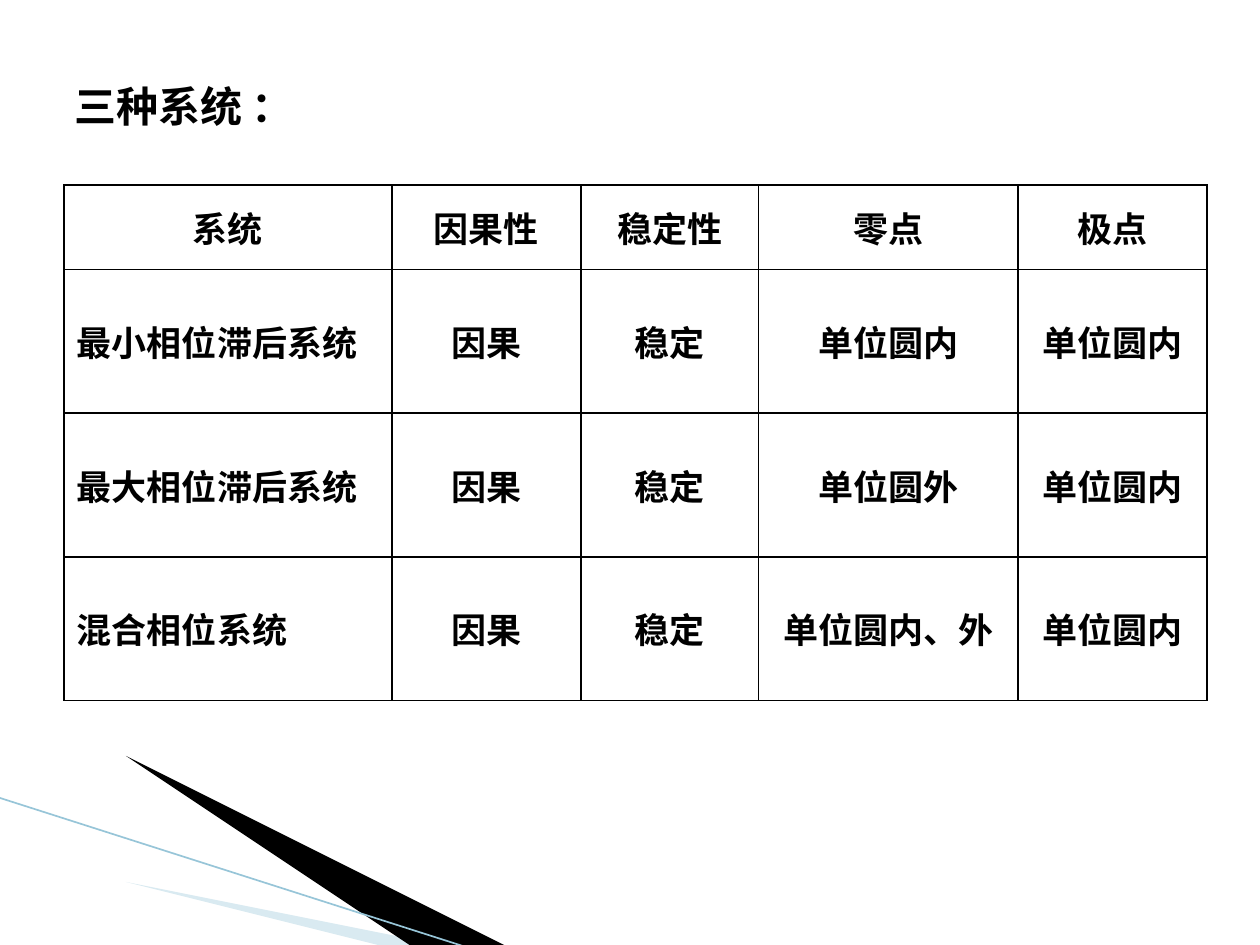
from dataclasses import dataclass

import pptx
import pptx.dml.color
import pptx.enum.shapes
import pptx.enum.text
import pptx.oxml
import pptx.oxml.ns
import pptx.util
from lxml import etree

HEADING = "三种系统 ："
ROWS = [
    ("系统", "因果性", "稳定性", "零点", "极点"),
    ("最小相位滞后系统", "因果", "稳定", "单位圆内", "单位圆内"),
    ("最大相位滞后系统", "因果", "稳定", "单位圆外", "单位圆内"),
    ("混合相位系统", "因果", "稳定", "单位圆内、外", "单位圆内"),
]
COLUMN_WIDTHS = (2.6, 1.5, 1.41, 2.06, 1.5)
HEADER_HEIGHT, BODY_HEIGHT = 0.67, 1.14
TABLE_LEFT, TABLE_TOP = 0.51, 1.47


@dataclass(frozen=True)
class Theme:
    ink: str = "000000"
    pale: str = "A0CBDC"
    edge: str = "97C5D8"
    latin: str = "Times New Roman"
    chinese: str = "Noto Sans CJK SC"
    heading_size: int = 24
    cell_size: int = 20


THEME = Theme()
# Corner points, colour and opacity in percent
WEDGES = [
    ([(0.55, 6.51), (5.95, 7.51), (4.56, 7.51)], THEME.pale, 40),
    ([(0.53, 6.49), (4.57, 7.51), (3.72, 7.52)], THEME.ink, 100),
]

inches = pptx.util.Inches
qn = pptx.oxml.ns.qn


def rgb(value):
    return pptx.dml.color.RGBColor.from_string(value)


def add_run(paragraph, text, size, latin):
    run = paragraph.add_run()
    run.text = text
    run.font.size = pptx.util.Pt(size)
    run.font.bold = True
    run.font.color.rgb = rgb(THEME.ink)
    run.font.name = latin
    east_asian = etree.SubElement(run.font._element, qn("a:ea"))
    east_asian.set("typeface", THEME.chinese)


def add_wedge(slide, points, color, opacity):
    builder = slide.shapes.build_freeform(*points[0], scale=inches(1))
    builder.add_line_segments(points[1:], close=True)
    wedge = builder.convert_to_shape()
    wedge.shadow.inherit = False
    wedge.line.fill.background()
    wedge.fill.solid()
    wedge.fill.fore_color.rgb = rgb(color)
    if opacity < 100:
        fill_color = wedge._element.spPr.find(".//" + qn("a:srgbClr"))
        etree.SubElement(fill_color, qn("a:alpha")).set("val", str(opacity * 1000))


def add_line(slide, start, end, color, width):
    line = slide.shapes.add_connector(
        pptx.enum.shapes.MSO_CONNECTOR.STRAIGHT, *map(inches, start + end))
    line.line.color.rgb = rgb(color)
    line.line.width = pptx.util.Pt(width)
    etree.SubElement(line._element.spPr, qn("a:effectLst"))


def add_borders(cell):
    properties = cell._tc.get_or_add_tcPr()
    for side in "LRTB":
        border = etree.SubElement(properties, qn(f"a:ln{side}"), w=str(pptx.util.Pt(1)))
        fill = etree.SubElement(border, qn("a:solidFill"))
        etree.SubElement(fill, qn("a:srgbClr"), val=THEME.ink)


def add_heading(slide):
    title = slide.shapes.title
    title.left, title.top, title.width, title.height = map(
        inches, (0.49, 0.59, 1.97, 0.5))
    frame = title.text_frame
    frame.word_wrap = False
    frame.auto_size = pptx.enum.text.MSO_AUTO_SIZE.SHAPE_TO_FIT_TEXT
    frame.vertical_anchor = pptx.enum.text.MSO_ANCHOR.TOP
    paragraph = frame.paragraphs[0]
    paragraph.alignment = pptx.enum.text.PP_ALIGN.LEFT
    add_run(paragraph, HEADING, THEME.heading_size, THEME.latin)


def add_systems_table(slide, width, height):
    table = slide.shapes.add_table(
        len(ROWS), len(COLUMN_WIDTHS),
        *map(inches, (TABLE_LEFT, TABLE_TOP, width, height))).table
    table.first_row = table.horz_banding = False
    for column, column_width in zip(table.columns, COLUMN_WIDTHS):
        column.width = inches(column_width)
    align = pptx.enum.text.PP_ALIGN
    for r, texts in enumerate(ROWS):
        table.rows[r].height = inches(BODY_HEIGHT if r else HEADER_HEIGHT)
        for c, text in enumerate(texts):
            cell = table.cell(r, c)
            cell.vertical_anchor = pptx.enum.text.MSO_ANCHOR.MIDDLE
            add_borders(cell)
            cell.fill.background()
            paragraph = cell.text_frame.paragraphs[0]
            paragraph.alignment = align.LEFT if r and c == 0 else align.CENTER
            add_run(paragraph, text, THEME.cell_size, THEME.chinese)


def main():
    deck = pptx.Presentation()
    deck.slide_width, deck.slide_height = inches(10), inches(7.5)
    slide = deck.slides.add_slide(deck.slide_layouts.get_by_name("Title Only"))

    for points, color, opacity in WEDGES:
        add_wedge(slide, points, color, opacity)
    add_line(slide, (-0.01, 6.33), (3.71, 7.52), THEME.edge, 0.95)

    width = sum(COLUMN_WIDTHS)
    height = HEADER_HEIGHT + BODY_HEIGHT * (len(ROWS) - 1)
    right, bottom = TABLE_LEFT + width, TABLE_TOP + height
    add_systems_table(slide, width, height)
    add_heading(slide)
    for x, top in ((TABLE_LEFT, TABLE_TOP + HEADER_HEIGHT), (right, TABLE_TOP)):
        add_line(slide, (x, top), (x, bottom), THEME.ink, 0.75)

    deck.save("out.pptx")


if __name__ == "__main__":
    main()
